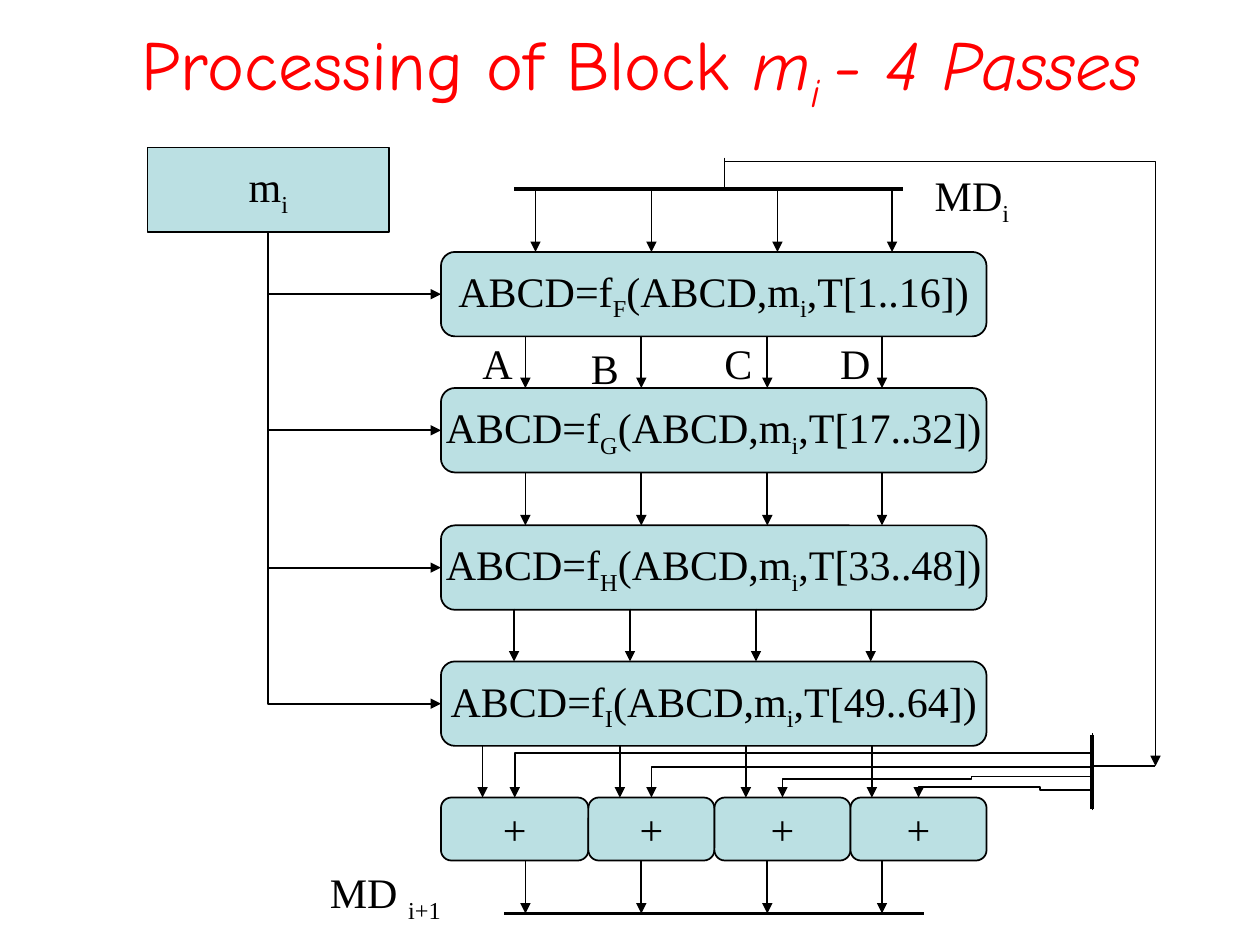
from pptx import Presentation
from pptx.dml.color import RGBColor
from pptx.enum.shapes import MSO_CONNECTOR as LINK, MSO_SHAPE as SHAPE
from pptx.enum.text import MSO_ANCHOR as ANCHOR, MSO_AUTO_SIZE as FIT, PP_ALIGN as ALIGN
from pptx.oxml.ns import qn
from pptx.util import Inches, Pt
from lxml.etree import SubElement

BLACK = RGBColor(0, 0, 0)
RED = RGBColor(0xFF, 0, 0)
PALE_TEAL = RGBColor(0xBB, 0xE0, 0xE3)
PASSES = [("F", "1..16", 2), ("G", "17..32", 3.08), ("H", "33..48", 4.17), ("I", "49..64", 5.25)]
PASS_LEFT, PASS_WIDTH, PASS_HEIGHT = 3.5, 4.33, 0.67
REGISTER_STEPS = [0, 0.92, 1.92, 2.83]


def add_runs(paragraph, parts, size=24, font="Times New Roman", color=BLACK):
    """Add runs that alternate between normal and subscript text."""
    runs = []
    for index, part in enumerate(parts):
        run = paragraph.add_run()
        run.text = part
        run.font.size, run.font.name = Pt(size), font
        run.font.color.rgb = color
        if index % 2:
            run.font._element.set("baseline", "-25000")
        runs.append(run)
    return runs


def add_title(slide):
    """Fill and place the title placeholder."""
    title = slide.shapes.title
    title.left, title.top = Inches(0.5), Inches(0)
    title.width, title.height = Inches(9.17), Inches(1.08)
    frame = title.text_frame
    frame.auto_size, frame.vertical_anchor = FIT.NONE, ANCHOR.MIDDLE
    heading = frame.paragraphs[0]
    heading.alignment = ALIGN.CENTER
    heading.space_before, heading.space_after = Pt(12), Pt(3)
    style = {"size": 40, "font": "Comic Neue", "color": RED}
    add_runs(heading, ["Processing of Block "], **style)
    for run in add_runs(heading, ["m", "i ", "- 4 Passes"], **style):
        run.font.italic = True


def add_box(slide, left, top, width, height, parts, kind=SHAPE.FLOWCHART_ALTERNATE_PROCESS):
    """Add a filled box with centred text."""
    box = slide.shapes.add_shape(kind, Inches(left), Inches(top), Inches(width), Inches(height))
    box.shadow.inherit = False
    box.fill.solid()
    box.fill.fore_color.rgb = PALE_TEAL
    box.line.color.rgb = BLACK
    box.line.width = Pt(1)
    frame = box.text_frame
    frame.word_wrap, frame.vertical_anchor = False, ANCHOR.MIDDLE
    frame.paragraphs[0].alignment = ALIGN.CENTER
    add_runs(frame.paragraphs[0], parts)
    return box


def add_label(slide, left, top, width, height, parts):
    """Add a free-standing label."""
    label = slide.shapes.add_textbox(Inches(left), Inches(top), Inches(width), Inches(height))
    frame = label.text_frame
    frame.word_wrap, frame.auto_size = False, FIT.SHAPE_TO_FIT_TEXT
    add_runs(frame.paragraphs[0], parts)


def add_line(shapes, start, end, width=1, arrow=False, kind=LINK.STRAIGHT):
    """Add a black connector, with an arrowhead at its end if asked."""
    line = shapes.add_connector(kind, *map(Inches, (*start, *end)))
    line.line.color.rgb = BLACK
    line.line.width = Pt(width)
    if arrow:
        SubElement(line.line._get_or_add_ln(), qn("a:tailEnd"), type="triangle")
    SubElement(line._element.spPr, qn("a:effectLst"))
    return line


def add_elbow(slide, start, end, preset, adjusts=(), source=None, target=None):
    """Add a bent arrow that leaves its start vertically."""
    elbow = add_line(slide.shapes, start, end, arrow=True, kind=LINK.ELBOW)
    if source:
        elbow.begin_connect(source, 2)
    if target:
        elbow.end_connect(*target)
    (x1, y1), (x2, y2) = start, end
    across, down = abs(x2 - x1), abs(y2 - y1)
    elbow.left, elbow.top = Inches((x1 + x2 - down) / 2), Inches((y1 + y2 - across) / 2)
    elbow.width, elbow.height = Inches(down), Inches(across)
    frame = elbow._element.spPr.find(qn("a:xfrm"))
    for flip in ("flipH", "flipV"):
        frame.attrib.pop(flip, None)
    goes_right, goes_up = x2 > x1, y2 < y1
    frame.set("rot", str((270 if goes_right or goes_up else 90) * 60000))
    if goes_right or goes_up:
        frame.set("flipH" if goes_right else "flipV", "1")
    geometry = elbow._element.spPr.find(qn("a:prstGeom"))
    geometry.set("prst", preset)
    guides = geometry.find(qn("a:avLst"))
    for number, value in enumerate(adjusts, 1):
        SubElement(guides, qn("a:gd"), name=f"adj{number}", fmla=f"val {round(value * 100000)}")


def add_register_arrows(slide, left, top, bottom):
    """Add the grouped arrows for registers A to D."""
    group = slide.shapes.add_group_shape()
    for step in REGISTER_STEPS:
        add_line(group.shapes, (left + step, top), (left + step, bottom), arrow=True)


def add_passes(slide):
    """Add the four passes and the message block that feeds them."""
    passes = [
        add_box(slide, PASS_LEFT, top, PASS_WIDTH, PASS_HEIGHT,
                ["ABCD=f", function, "(ABCD,m", "i", f",T[{span}])"])
        for function, span, top in PASSES
    ]
    message = add_box(slide, 1.17, 1.17, 1.92, PASS_HEIGHT, ["m", "i"], SHAPE.RECTANGLE)
    for step, (_, _, top) in zip(passes, PASSES):
        add_elbow(slide, (2.13, 1.84), (PASS_LEFT, top + PASS_HEIGHT / 2),
                  "bentConnector2", source=message, target=(step, 1))


def add_sums(slide):
    """Add the four additions with their two inputs each."""
    columns = [
        (3.5, 1.17, 3.83, 5.82, "bentConnector3", [0.31]),
        (4.67, 1, 4.92, 5.82, "bentConnector3", [0.52]),
        (5.67, 1.08, 5.92, 6.43, "bentConnector5", [2.66, 0.39, 2.45]),
        (6.75, 1.08, 6.92, 6.43, "bentConnector5", [1.61, 0.3, 1.82]),
    ]
    for left, width, arrow_x, feed_y, preset, adjusts in columns:
        addition = add_box(slide, left, 6.33, width, 0.5, ["+"])
        add_line(slide.shapes, (arrow_x, 5.92), (arrow_x, 6.33), arrow=True)
        add_elbow(slide, (8.67, feed_y), (left + width / 2, 6.33), preset, adjusts,
                  target=(addition, 0))


def add_digest_path(slide):
    """Add the digest bars and the feedback line on the right."""
    for start, end in [((4.08, 1.5), (7.17, 1.5)), ((4, 7.25), (7.33, 7.25)),
                       ((8.67, 5.83), (8.67, 6.42))]:
        add_line(slide.shapes, start, end, width=2.25)
    add_elbow(slide, (5.75, 1.33), (9.17, 6.08), "bentConnector3", [-0.01])
    add_line(slide.shapes, (8.67, 6.08), (9.17, 6.08))
    add_line(slide.shapes, (5.75, 1.25), (5.75, 1.5))


def main():
    """Build and save the slide."""
    deck = Presentation()
    deck.slide_width, deck.slide_height = Inches(10), Inches(7.5)
    slide = deck.slides.add_slide(deck.slide_layouts[5])
    add_title(slide)
    add_passes(slide)
    for left, top, bottom in [(4.25, 1.5, 2), (4.17, 2.67, 3.08), (4.17, 3.75, 4.17),
                              (4.08, 4.83, 5.25), (4.17, 6.83, 7.25)]:
        add_register_arrows(slide, left, top, bottom)
    for register, left, top, width in [("A", 3.73, 2.63, 0.44), ("B", 4.59, 2.67, 0.42),
                                       ("C", 5.65, 2.63, 0.42), ("D", 6.57, 2.63, 0.44)]:
        add_label(slide, left, top, width, 0.5, [register])
    add_label(slide, 7.32, 1.3, 0.79, 0.56, ["MD", "i"])
    add_label(slide, 2.52, 6.83, 1.08, 0.56, ["MD ", "i+1"])
    add_sums(slide)
    add_digest_path(slide)
    deck.save("out.pptx")


if __name__ == "__main__":
    main()
